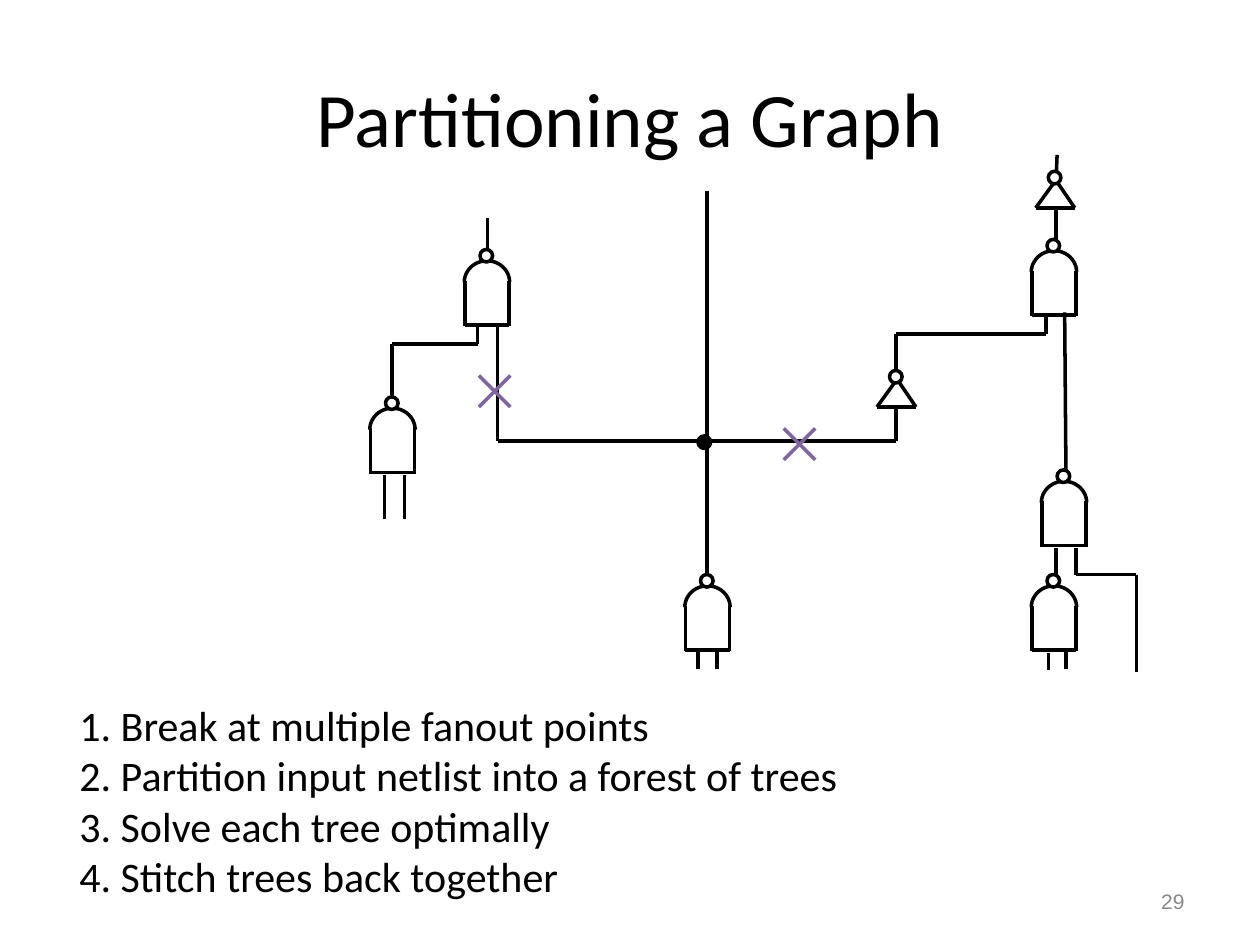
from math import cos, pi, sin

from lxml.etree import SubElement
from pptx import Presentation
from pptx.dml.color import RGBColor
from pptx.enum.shapes import MSO_CONNECTOR, MSO_SHAPE
from pptx.enum.text import MSO_ANCHOR, MSO_AUTO_SIZE, PP_ALIGN
from pptx.oxml.ns import qn
from pptx.util import Inches, Pt

BLACK = RGBColor(0x00, 0x00, 0x00)
WHITE = RGBColor(0xFF, 0xFF, 0xFF)
PURPLE = RGBColor(0x80, 0x64, 0xA2)
GRAY = RGBColor(0x89, 0x89, 0x89)
LINE_WIDTH = Pt(2)
BUBBLE_SIZE = 0.1
CROSS_SIZE = 0.25
ARC_STEPS = 12

STEPS = [
    "1. Break at multiple fanout points",
    "2. Partition input netlist into a forest of trees",
    "3. Solve each tree optimally",
    "4. Stitch trees back together",
]

# Circuit coordinates are inches from the top left of the circuit's box
WIRES = [
    # Fanout net and the driver's trunk
    [(1.05, 1.38), (1.05, 1.52), (1.05, 2.3), (2.71, 2.3), (4.21, 2.3), (4.21, 2.16), (4.21, 2.02)],
    [(2.71, 0.32), (2.71, 2.3), (2.71, 3.29), (2.71, 3.43)],
    # Left tree
    [(0.97, 0.53), (0.97, 0.78)],
    [(0.89, 1.38), (0.89, 1.53), (0.21, 1.53), (0.21, 1.95)],
    [(0.15, 2.57), (0.15, 2.92)],
    [(0.31, 2.57), (0.31, 2.92)],
    # Inputs of the driver
    [(2.64, 3.97), (2.64, 4.11)],
    [(2.79, 3.97), (2.79, 4.11)],
    # Right tree
    [(5.49, 0.03), (5.48, 0.26)],
    [(5.48, 0.46), (5.48, 0.6), (5.48, 0.75)],
    [(5.4, 1.31), (5.4, 1.45), (4.21, 1.45), (4.21, 1.59), (4.21, 1.73)],
    [(5.55, 1.28), (5.56, 2.53)],
    [(5.48, 3.15), (5.48, 3.29), (5.48, 3.43)],
    [(5.64, 3.15), (5.64, 3.29), (5.64, 3.36), (6.12, 3.36), (6.12, 4.13)],
    [(5.42, 3.98), (5.42, 4.12)],
    [(5.56, 3.97), (5.56, 4.11)],
]
INVERTERS = [(4.06, 1.74), (5.32, 0.16)]
NAND_GATES = [(0.04, 1.95), (0.79, 0.78), (2.54, 3.36), (5.29, 3.36), (5.37, 2.53), (5.29, 0.7)]
FANOUT_POINT = (2.64, 2.26)
CUTS = [(3.32, 2.2), (0.9, 1.78)]


def set_values(target, values):
    for name, value in values.items():
        setattr(target, name, value)


def write_text(shape, lines, frame_format, paragraph_format, font_format, color):
    frame = shape.text_frame
    set_values(frame, frame_format)
    for index, line in enumerate(lines):
        paragraph = frame.paragraphs[0] if index == 0 else frame.add_paragraph()
        paragraph.text = line
        set_values(paragraph, paragraph_format)
        set_values(paragraph.font, font_format)
        paragraph.font.color.rgb = color


def place(shape, box):
    sides = ("left", "top", "width", "height")
    set_values(shape, {side: Inches(length) for side, length in zip(sides, box)})


def draw_path(slide, points, color=BLACK):
    """Join consecutive points with straight lines."""
    for (x1, y1), (x2, y2) in zip(points, points[1:]):
        line = slide.shapes.add_connector(
            MSO_CONNECTOR.STRAIGHT, Inches(x1), Inches(y1), Inches(x2), Inches(y2))
        set_values(line.line, {"width": LINE_WIDTH})
        line.line.color.rgb = color
        SubElement(line._element.spPr, qn("a:effectLst"))


def draw_circle(slide, left, top, color):
    size = Inches(BUBBLE_SIZE)
    circle = slide.shapes.add_shape(MSO_SHAPE.OVAL, Inches(left), Inches(top), size, size)
    circle.shadow.inherit = False
    circle.fill.solid()
    circle.fill.fore_color.rgb = color
    circle.line.color.rgb = BLACK
    circle.line.width = LINE_WIDTH


def draw_quarter_arc(slide, center_x, base_y, radius_x, radius_y):
    """A negative radius_x bends the arc to the left."""
    angles = [pi / 2 * step / ARC_STEPS for step in range(ARC_STEPS + 1)]
    points = [(Inches(center_x + radius_x * sin(angle)), Inches(base_y - radius_y * cos(angle)))
              for angle in angles]
    builder = slide.shapes.build_freeform(*points[0])
    builder.add_line_segments(points[1:], close=False)
    arc = builder.convert_to_shape()
    arc.shadow.inherit = False
    arc.fill.background()
    arc.line.color.rgb = BLACK
    arc.line.width = LINE_WIDTH


def draw_nand_gate(slide, left, top):
    right = left + 0.35
    for x in (left, right):
        draw_path(slide, [(x, top + 0.61), (x, top + 0.25)])
    draw_path(slide, [(left, top + 0.6), (right, top + 0.6)])
    for radius in (-0.18, 0.18):
        draw_quarter_arc(slide, left + 0.175, top + 0.26, radius, 0.17)
    draw_circle(slide, left + 0.12, top, WHITE)


def draw_inverter(slide, left, top):
    apex = (left + 0.16, top + 0.07)
    corners = [(left, top + 0.29), (left + 0.31, top + 0.29)]
    draw_path(slide, [apex, *corners, apex])
    draw_circle(slide, left + 0.1, top, WHITE)


def draw_cut(slide, left, top):
    right, bottom = left + CROSS_SIZE, top + CROSS_SIZE
    draw_path(slide, [(left, top), (right, bottom)], PURPLE)
    draw_path(slide, [(right, top), (left, bottom)], PURPLE)


def add_circuit(slide, box):
    left, top = box[:2]

    def shift(point):
        return left + point[0], top + point[1]

    for wire in WIRES:
        draw_path(slide, [shift(point) for point in wire])
    for inverter in INVERTERS:
        draw_inverter(slide, *shift(inverter))
    for gate in NAND_GATES:
        draw_nand_gate(slide, *shift(gate))
    draw_circle(slide, *shift(FANOUT_POINT), BLACK)
    for cut in CUTS:
        draw_cut(slide, *shift(cut))


def add_title(slide, box):
    title = slide.shapes.title
    place(title, box)
    write_text(title, ["Partitioning a Graph"], {"vertical_anchor": MSO_ANCHOR.MIDDLE},
               {"alignment": PP_ALIGN.CENTER}, {"size": Pt(44), "name": "Calibri"}, BLACK)


def add_steps(slide, box):
    body = slide.placeholders[1]
    place(body, box)
    write_text(body, STEPS,
               {"word_wrap": True, "auto_size": MSO_AUTO_SIZE.NONE,
                "vertical_anchor": MSO_ANCHOR.TOP},
               {"alignment": PP_ALIGN.LEFT, "space_before": Pt(0)},
               {"size": Pt(24), "name": "Calibri"}, BLACK)
    # The numbers are typed, so the bullet and hanging indent go
    for paragraph in body.text_frame.paragraphs:
        properties = paragraph._p.get_or_add_pPr()
        properties.set("marL", "0")
        properties.set("indent", "0")
        bullet = SubElement(properties, qn("a:buNone"))
        properties.find(qn("a:spcBef")).addnext(bullet)


def add_page_number(slide, box):
    number = slide.shapes.add_textbox(*(Inches(length) for length in box))
    write_text(number, ["29"], {"word_wrap": True, "vertical_anchor": MSO_ANCHOR.MIDDLE},
               {"alignment": PP_ALIGN.RIGHT}, {"size": Pt(12), "name": "Arial"}, GRAY)


def main():
    presentation = Presentation()
    presentation.slide_width, presentation.slide_height = Inches(10), Inches(7.5)
    slide = presentation.slides.add_slide(presentation.slide_layouts[1])
    add_title(slide, (0.5, 0.3, 9, 1.25))
    add_page_number(slide, (7.17, 6.95, 2.33, 0.4))
    add_circuit(slide, (2.9, 1.2, 6.12, 4.13))
    add_steps(slide, (0.53, 5.5, 6.54, 1.7))
    presentation.save("out.pptx")


if __name__ == "__main__":
    main()
